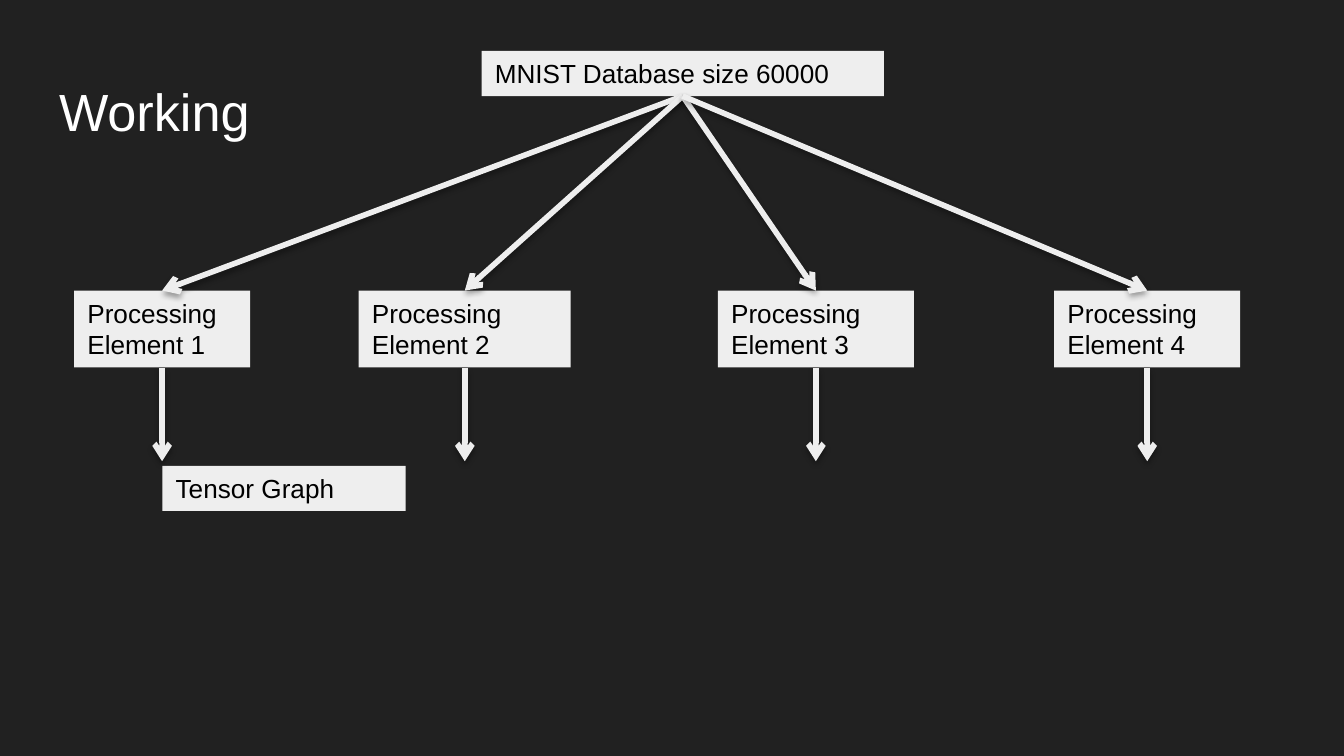
"""Build a slide showing how a database feeds four processing elements."""
import pptx
import pptx.dml.color
import pptx.enum.shapes
import pptx.enum.text
import pptx.oxml
import pptx.oxml.ns
import pptx.util

Pt = pptx.util.Pt
COLORS = {"back": "212121", "light": "EEEEEE", "title": "FFFFFF", "text": "000000"}
NS = pptx.oxml.ns.nsdecls("a")
TAIL = f'<a:tailEnd {NS} type="arrow"/>'
SHADOW = (
    f'<a:effectLst {NS}><a:outerShdw blurRad="{Pt(3.1)}" dist="{Pt(1.8)}" dir="5400000" '
    'rotWithShape="0"><a:srgbClr val="000000"><a:alpha val="35000"/></a:srgbClr>'
    "</a:outerShdw></a:effectLst>"
)
TOP, BOTTOM = 0, 2


def rgb(name):
    return pptx.dml.color.RGBColor.from_string(COLORS[name])


def write(tf, text, size=14, color="text", font="Arial", inset=3.6):
    tf.word_wrap = True
    tf.auto_size = pptx.enum.text.MSO_AUTO_SIZE.NONE
    tf.vertical_anchor = pptx.enum.text.MSO_ANCHOR.TOP
    tf.margin_left = tf.margin_right = Pt(7.2)
    tf.margin_top = tf.margin_bottom = Pt(inset)
    p = tf.paragraphs[0]
    p.alignment = pptx.enum.text.PP_ALIGN.LEFT
    p.line_spacing = 1.0
    p.space_before = Pt(0)
    r = p.add_run()
    r.text = text
    r.font.size = Pt(size)
    r.font.name = font
    r.font.color.rgb = rgb(color)


class Diagram:
    def __init__(self, s):
        self.s = s
        self.line_width = Pt(3)
        s.background.fill.solid()
        s.background.fill.fore_color.rgb = rgb("back")

    def title(self, text, left, top, width, height):
        sp = self.s.shapes.title
        sp.left, sp.top, sp.width, sp.height = map(Pt, (left, top, width, height))
        write(sp.text_frame, text, size=28, color="title", inset=7.2)

    def box(self, text, left, top, width, height):
        sp = self.s.shapes.add_shape(
            pptx.enum.shapes.MSO_SHAPE.RECTANGLE, *map(Pt, (left, top, width, height))
        )
        sp.shadow.inherit = False
        sp.fill.solid()
        sp.fill.fore_color.rgb = rgb("light")
        sp.line.fill.background()
        write(sp.text_frame, text)
        return sp

    def arrow(self, start, end=None, length=0):
        x, y = start.left + start.width // 2, start.top + start.height
        cxn = self.s.shapes.add_connector(
            pptx.enum.shapes.MSO_CONNECTOR.STRAIGHT, x, y, x, y + Pt(length)
        )
        cxn.begin_connect(start, BOTTOM)
        if end is not None:
            cxn.end_connect(end, TOP)
        cxn.line.color.rgb = rgb("light")
        cxn.line.width = self.line_width
        cxn.line._get_or_add_ln().append(pptx.oxml.parse_xml(TAIL))
        cxn._element.spPr.append(pptx.oxml.parse_xml(SHADOW))


def main():
    prs = pptx.Presentation()
    prs.slide_width, prs.slide_height = Pt(720), Pt(405)
    d = Diagram(prs.slides.add_slide(prs.slide_layouts[5]))

    d.title("Working", 24.5, 35.3, 671, 45.4)
    d.box("Tensor Graph", 87, 249.6, 130.3, 24.2)
    columns = [(39.7, 94.3), (192.2, 113.6), (384.6, 105), (564.8, 99.6)]
    elements = [
        d.box(f"Processing Element {i}", left, 155.7, width, 41.2)
        for i, (left, width) in enumerate(columns, 1)
    ]
    database = d.box("MNIST Database size 60000", 258, 27.3, 215.5, 24.2)

    for element in elements:
        d.arrow(database, element)
    for element in elements:
        d.arrow(element, length=50.2)

    prs.save("out.pptx")


if __name__ == "__main__":
    main()
